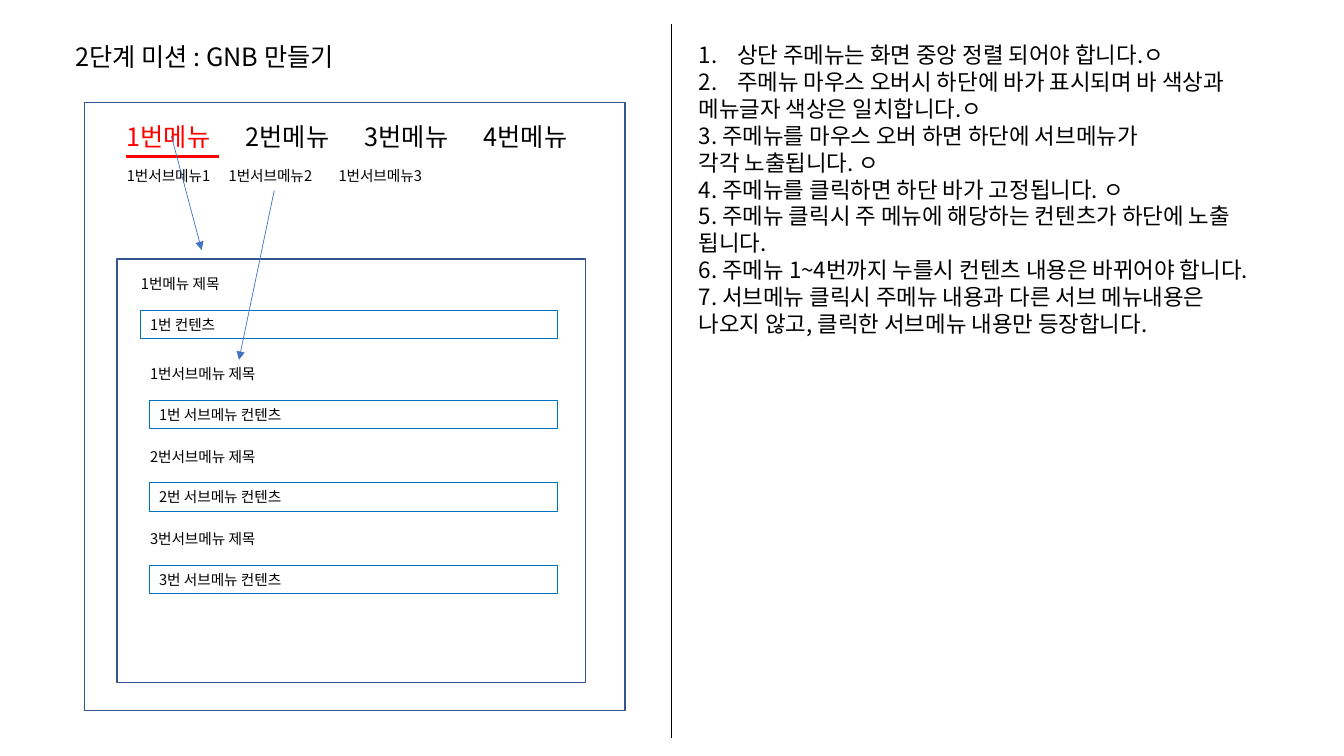
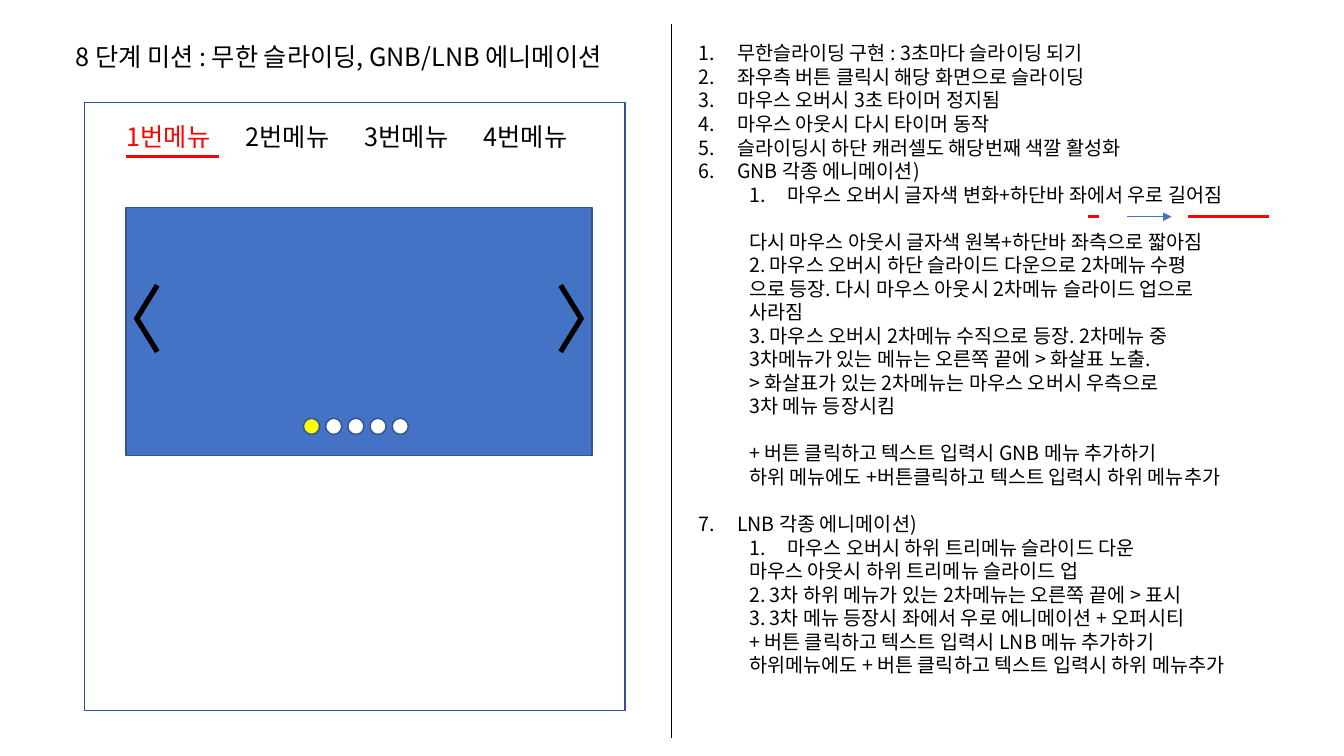
from typing import NamedTuple

from lxml import etree
from pptx import Presentation
from pptx import util as u
from pptx.dml.color import RGBColor
from pptx.enum import shapes, text
from pptx.oxml import ns

PX = 9144
FONT = "Noto Sans CJK KR"
LINE_HEIGHT = 1.2
BLACK = RGBColor(0x00, 0x00, 0x00)
WHITE = RGBColor(0xFF, 0xFF, 0xFF)
RED = RGBColor(0xFF, 0x00, 0x00)
YELLOW = RGBColor(0xFF, 0xFF, 0x00)
BLUE = RGBColor(0x44, 0x72, 0xC4)
NAVY = RGBColor(0x32, 0x54, 0x91)
BAR_BLUE = RGBColor(0x00, 0x70, 0xC0)
TITLE_SIZE, LABEL_SIZE = 18, 10.5


class Box(NamedTuple):
    """A region in px."""
    x: int
    y: int
    w: int
    h: int

    def inner(self, dx, dy, w, h):
        """Return a box offset from this one."""
        return Box(self.x + dx, self.y + dy, w, h)

    def emu(self):
        """Return the four lengths in EMU."""
        return [value * PX for value in self]


class ListStyle(NamedTuple):
    """Level, indents in px and numbering of a paragraph."""
    level: int
    left: int
    hang: int
    numbered: bool


ITEM = ListStyle(0, 38, -38, True)
LINE = ListStyle(0, 0, 0, False)
SUBITEM = ListStyle(1, 88, -38, True)
SUBLINE = ListStyle(1, 50, 0, False)

SCREEN = Box(84, 102, 536, 603)
TITLE = Box(65, 36, 603, 40)
NOTES = Box(683, 36, 632, 693)

GNB_NOTES = [
    (ITEM, 0, ["상단 주메뉴는 화면 중앙 정렬 되어야 합니다.ㅇ",
               "주메뉴 마우스 오버시 하단에 바가 표시되며 바 색상과"]),
    (LINE, 0, ["메뉴글자 색상은 일치합니다.ㅇ",
               "3. 주메뉴를 마우스 오버 하면 하단에 서브메뉴가",
               "각각 노출됩니다. ㅇ",
               "4. 주메뉴를 클릭하면 하단 바가 고정됩니다. ㅇ",
               "5. 주메뉴 클릭시 주 메뉴에 해당하는 컨텐츠가 하단에 노출",
               "됩니다.",
               "6. 주메뉴 1~4번까지 누를시 컨텐츠 내용은 바뀌어야 합니다.",
               "7. 서브메뉴 클릭시 주메뉴 내용과 다른 서브 메뉴내용은",
               "나오지 않고, 클릭한 서브메뉴 내용만 등장합니다."]),
]
SLIDING_NOTES = [
    (ITEM, 0, ["무한슬라이딩 구현 : 3초마다 슬라이딩 되기",
               "좌우측 버튼 클릭시 해당 화면으로 슬라이딩",
               "마우스 오버시 3초 타이머 정지됨",
               "마우스 아웃시 다시 타이머 동작",
               "슬라이딩시 하단 캐러셀도 해당번째 색깔 활성화",
               "GNB 각종 에니메이션)"]),
    (SUBITEM, 0, ["마우스 오버시 글자색 변화+하단바 좌에서 우로 길어짐"]),
    (SUBLINE, 1, ["다시 마우스 아웃시 글자색 원복+하단바 좌측으로 짧아짐",
                  "2. 마우스 오버시 하단 슬라이드 다운으로 2차메뉴 수평",
                  "으로 등장. 다시 마우스 아웃시 2차메뉴 슬라이드 업으로",
                  "사라짐",
                  "3. 마우스 오버시 2차메뉴 수직으로 등장. 2차메뉴 중",
                  "3차메뉴가 있는 메뉴는 오른쪽 끝에 > 화살표 노출.",
                  "> 화살표가 있는 2차메뉴는 마우스 오버시 우측으로",
                  "3차 메뉴 등장시킴"]),
    (SUBLINE, 1, ["+ 버튼 클릭하고 텍스트 입력시 GNB 메뉴 추가하기",
                  "하위 메뉴에도 +버튼클릭하고 텍스트 입력시 하위 메뉴추가"]),
    (ITEM, 1, ["LNB 각종 에니메이션)"]),
    (SUBITEM, 0, ["마우스 오버시 하위 트리메뉴 슬라이드 다운"]),
    (SUBLINE, 0, ["마우스 아웃시 하위 트리메뉴 슬라이드 업",
                  "2. 3차 하위 메뉴가 있는 2차메뉴는 오른쪽 끝에 > 표시",
                  "3. 3차 메뉴 등장시 좌에서 우로 에니메이션 + 오퍼시티",
                  "+ 버튼 클릭하고 텍스트 입력시 LNB 메뉴 추가하기",
                  "하위메뉴에도 + 버튼 클릭하고 텍스트 입력시 하위 메뉴추가"]),
]


def format_paragraph(paragraph, size, color=BLACK):
    """Apply the shared font, line height and left alignment."""
    paragraph.alignment = text.PP_ALIGN.LEFT
    paragraph.line_spacing = u.Pt(size * LINE_HEIGHT)
    for run in paragraph.runs:
        run.font.size = u.Pt(size)
        run.font.color.rgb = color
        run.font.name = FONT
        etree.SubElement(run.font._element, ns.qn("a:ea"), typeface=FONT)


def place(placeholder, box, wording):
    """Move a placeholder and fill it with top-anchored text."""
    placeholder.left, placeholder.top, placeholder.width, placeholder.height = box.emu()
    frame = placeholder.text_frame
    frame.text = wording
    frame.auto_size = text.MSO_AUTO_SIZE.NONE
    frame.vertical_anchor = text.MSO_ANCHOR.TOP
    frame.word_wrap = True
    return frame.paragraphs


def add_label(slide, box, wording, size=LABEL_SIZE, color=BLACK):
    """Add one line of unwrapped text."""
    frame = slide.shapes.add_textbox(*box.emu()).text_frame
    frame.word_wrap = False
    frame.text = wording
    format_paragraph(frame.paragraphs[0], size, color)


def add_block(slide, box, fill=None, line=NAVY, width=1, kind=shapes.MSO_SHAPE.RECTANGLE):
    """Add an outlined shape, filled when a colour is given."""
    block = slide.shapes.add_shape(kind, *box.emu())
    block.shadow.inherit = False
    if fill is None:
        block.fill.background()
    else:
        block.fill.solid()
        block.fill.fore_color.rgb = fill
    block.line.color.rgb = line
    block.line.width = u.Pt(width)
    return block


def add_line(slide, box, start, end, color=BLACK, width=0.5, arrow=False):
    """Draw a line between two points relative to a box."""
    points = [(box.x + x, box.y + y) for x, y in (start, end)]
    line = slide.shapes.add_connector(
        shapes.MSO_CONNECTOR.STRAIGHT, *[value * PX for point in points for value in point])
    line.line.color.rgb = color
    line.line.width = u.Pt(width)
    if arrow:
        etree.SubElement(line.line._get_or_add_ln(), ns.qn("a:tailEnd"), type="triangle")
    etree.SubElement(line._element.spPr, ns.qn("a:effectLst"))


def add_notes(placeholder, box, groups, size):
    """Fill the body placeholder with the numbered notes."""
    rows = [(style, gap if i == 0 else 0, line)
            for style, gap, lines in groups for i, line in enumerate(lines)]
    paragraphs = place(placeholder, box, "\n".join(line for _, _, line in rows))
    for paragraph, (style, gap, _) in zip(paragraphs, rows):
        paragraph.level = style.level
        props = paragraph._p.get_or_add_pPr()
        props.set("marL", str(style.left * PX))
        props.set("indent", str(style.hang * PX))
        if style.numbered:
            etree.SubElement(props, ns.qn("a:buFont"), typeface=FONT)
            etree.SubElement(props, ns.qn("a:buAutoNum"), type="arabicPeriod")
        else:
            etree.SubElement(props, ns.qn("a:buNone"))
        paragraph.space_before = u.Pt(gap * size * LINE_HEIGHT)
        paragraph.space_after = u.Pt(0)
        format_paragraph(paragraph, size)


def add_menu(slide, box):
    """Draw the four main menus with the first one active."""
    for i in range(4):
        add_label(slide, box.inner(32 + 118 * i, 13, 110, 40), f"{i + 1}번메뉴",
                  TITLE_SIZE, BLACK if i else RED)
    add_line(slide, box, (41, 53), (133, 53), RED, 2.25)


def add_mission(prs, title, groups, size):
    """Add a slide with title, screen frame, divider, notes and main menu."""
    slide = prs.slides.add_slide(prs.slide_layouts[1])
    format_paragraph(place(slide.shapes.title, TITLE, title)[0], TITLE_SIZE)
    add_notes(slide.placeholders[1], NOTES, groups, size)
    add_block(slide, SCREEN)
    add_line(slide, Box(666, 24, 0, 708), (0, 0), (0, 708))
    add_menu(slide, SCREEN)
    return slide


def add_section(slide, box, heading, content):
    """Add a heading with an outlined content bar below it."""
    add_label(slide, box.inner(0, 0, 137, 28), heading)
    bar = add_block(slide, box.inner(9, 40, box.w - 9, 28), line=BAR_BLUE, width=0.75)
    bar.text_frame.text = content
    format_paragraph(bar.text_frame.paragraphs[0], LABEL_SIZE)


def add_contents(slide, box):
    """Draw the panel with the menu section and its submenu sections."""
    add_block(slide, box)
    add_section(slide, box.inner(14, 11, 423, 68), "1번메뉴 제목", "1번 컨텐츠")
    for i in range(3):
        add_section(slide, box.inner(23, 100 + 82 * i, 414, 68),
                    f"{i + 1}번서브메뉴 제목", f"{i + 1}번 서브메뉴 컨텐츠")


def add_submenus(slide, box):
    """Draw the submenu labels and the arrows to their contents."""
    for i, x in enumerate((32, 133, 242)):
        add_label(slide, box.inner(x, 59, 110, 28), f"1번서브메뉴{i + 1}")
    for start, end in (((86, 33), (116, 146)), ((188, 87), (153, 255))):
        add_line(slide, box, start, end, BLUE, arrow=True)


def add_carousel(slide, box):
    """Draw the sliding banner with its two chevrons and page dots."""
    add_block(slide, box, BLUE)
    for outer, tip in ((31, 10), (box.w - 31, box.w - 10)):
        for y, tip_y in ((77, 111), (143, 109)):
            add_line(slide, box, (outer, y), (tip, tip_y), width=3.75)
    for i in range(5):
        add_block(slide, box.inner(176 + 22 * i, 209, 16, 16),
                  WHITE if i else YELLOW, kind=shapes.MSO_SHAPE.OVAL)


def add_bar_growth(slide, box):
    """Show the short bar growing into the long one."""
    for left, right in ((396, 407), (495, 576)):
        add_line(slide, box, (left, 179), (right, 179), RED, 2.25)
    add_line(slide, box, (435, 179), (479, 179), BLUE, arrow=True)


def main():
    """Build and save the two mission slides."""
    prs = Presentation()
    prs.slide_width, prs.slide_height = 1333 * PX, 750 * PX

    gnb = add_mission(prs, "2단계 미션 : GNB 만들기", GNB_NOTES, 16)
    add_contents(gnb, SCREEN.inner(32, 155, 465, 420))
    add_submenus(gnb, SCREEN)

    sliding = add_mission(prs, "8 단계 미션 : 무한 슬라이딩, GNB/LNB 에니메이션",
                          SLIDING_NOTES, 14)
    add_carousel(sliding, SCREEN.inner(41, 104, 462, 246))
    add_bar_growth(sliding, NOTES)

    prs.save("out.pptx")


if __name__ == "__main__":
    main()
